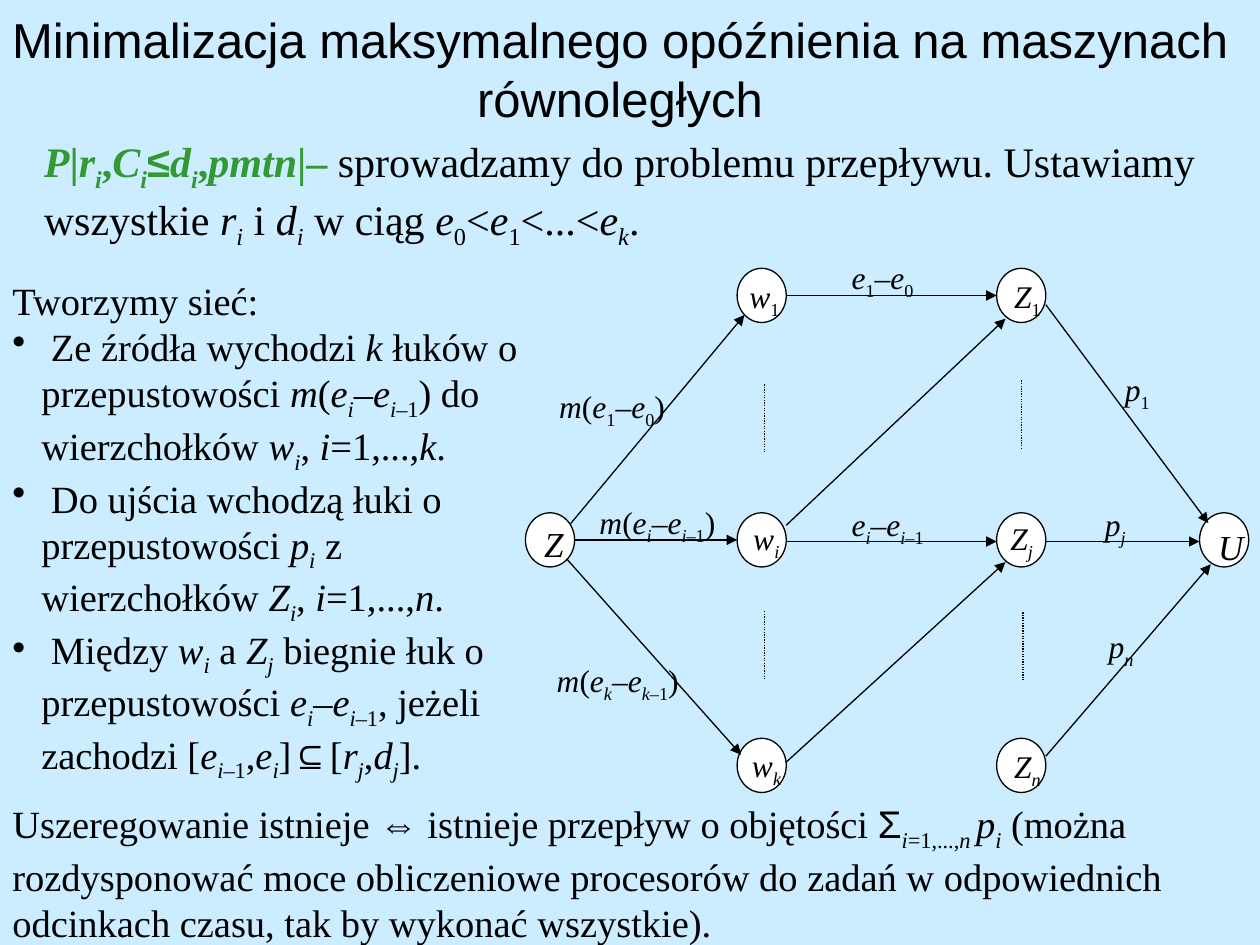
import pptx
import pptx.dml.color
import pptx.enum.dml
import pptx.enum.shapes
import pptx.enum.text
import pptx.oxml
import pptx.oxml.ns
import pptx.util
from lxml import etree

Inches = pptx.util.Inches
RGBColor = pptx.dml.color.RGBColor
ANCHOR = pptx.enum.text.MSO_ANCHOR
ALIGN = pptx.enum.text.PP_ALIGN

BLACK = RGBColor(0x00, 0x00, 0x00)
WHITE = RGBColor(0xFF, 0xFF, 0xFF)
GREEN = RGBColor(0x33, 0x99, 0x33)
SKY = RGBColor(0xCC, 0xEC, 0xFF)
SERIF, SANS = "Times New Roman", "Arial"

# Network grid: left edges of columns, top edges of rows, size of a node
COLUMNS = (4.17, 5.85, 7.91, 9.52)
ROWS = (2.13, 4.07, 5.86)
NODE_WIDTH, NODE_HEIGHT = 0.39, 0.43
BULLET_INDENT = 0.23

# Marks in text: * italic, _ subscript, ^ sans font, # bold green
MARKS = "*_^#"

TITLE = "Minimalizacja maksymalnego opóźnienia na maszynach równoległych"
PROBLEM = ("#*P*|*r_i_*,*C_i_*^≤^*d_i_*,*pmtn*|– #sprowadzamy do problemu przepływu. "
           "Ustawiamy wszystkie *r_i_* i *d_i_* w ciąg *e*_0_<*e*_1_<...<*e_k_*.")
NETWORK = (
    "Tworzymy sieć:",
    " Ze źródła wychodzi *k* łuków o przepustowości *m*(*e_i_*–*e_i*–1_) "
    "do wierzchołków *w_i_*, *i*=1,...,*k*.",
    " Do ujścia wchodzą łuki o przepustowości *p_i_* z wierzchołków *Z_i_*, *i*=1,...,*n*.",
    " Między *w_i_* a *Z_j_* biegnie łuk o przepustowości *e_i_*–*e_i*–1_, "
    "jeżeli zachodzi [*e_i*–1_,*e_i_*]^⊆^[*r_j_*,*d_j_*].",
)
CONCLUSION = ("Uszeregowanie istnieje ^⇔^ istnieje przepływ o objętości ^Σ^_*i*=1,...,*n _p_i_* "
              "(można rozdysponować moce obliczeniowe procesorów do zadań w odpowiednich "
              "odcinkach czasu, tak by wykonać wszystkie).")

# Name: (column, row, label, size, label shift right, label shift down)
NODES = {
    "source": (0, 1, "*Z*", 20, 0.05, 0.03),
    "w1": (1, 0, "*w*_1_", 18, 0, 0.02),
    "wi": (1, 1, "*w_i_*", 18, 0.03, 0),
    "wk": (1, 2, "*w_k_*", 18, 0.02, 0.01),
    "Z1": (2, 0, "*Z*_1_", 18, 0.04, 0.02),
    "Zj": (2, 1, "*Z_j_*", 18, 0.01, 0),
    "Zn": (2, 2, "*Z_n_*", 18, 0.04, 0.02),
    "sink": (3, 1, "*U*", 20, 0.05, 0.05),
}
# Start node, share of its box across and down, then the same for the end node
ARCS = (
    ("source", 1, 0.5, "wi", 0, 0.5),
    ("source", 0.92, 0.2, "w1", 0.15, 0.86),
    ("source", 0.85, 0.86, "wk", 0.08, 0.3),
    ("w1", 1, 0.5, "Z1", 0, 0.5),
    ("wi", 1, 0.53, "Zj", 0, 0.53),
    ("wi", 1, 0.23, "Z1", 0.18, 0.93),
    ("Z1", 1, 0.67, "sink", 0.18, 0.19),
    ("wk", 1, 0.44, "Zj", 0.18, 0.91),
    ("Zj", 1, 0.53, "sink", 0, 0.53),
    ("Zn", 1, 0.33, "sink", 0.23, 0.95),
)
# Left, top, width, text
CAPACITIES = (
    (4.34, 3.02, 1.5, "*m*(*e*_1_–*e*_0_)"),
    (4.66, 3.94, 1.34, "*m*(*e_i_*–*e_i*–1_)"),
    (4.32, 5.2, 1.51, "*m*(*e_k_*–*e_k*–1_)"),
    (6.66, 2, 0.99, "*e*_1_–*e*_0_"),
    (6.66, 3.96, 0.99, "*e_i_*–*e_i*–1_"),
    (8.83, 2.89, 0.77, "*p*_1_"),
    (8.67, 3.96, 0.77, "*p_j_*"),
    (8.7, 4.93, 0.77, "*p_n_*"),
)
# Left and top of the dotted gaps between nodes
GAPS = ((6.07, 3.05), (8.11, 3.02), (6.07, 4.85), (8.12, 4.86))
GAP_LENGTH = 0.54


def split_marks(text):
    """Yield each stretch of text with the marks that are on for it."""
    active, stretch = set(), ""
    for letter in text:
        if letter not in MARKS:
            stretch += letter
            continue
        if stretch:
            yield stretch, frozenset(active)
            stretch = ""
        active ^= {letter}
    if stretch:
        yield stretch, frozenset(active)


def add_spans(para, text, size, font):
    for stretch, marks in split_marks(text):
        span = para.add_run()
        span.text = stretch
        formats = {
            "name": SANS if "^" in marks else font,
            "size": pptx.util.Pt(size),
            "italic": "*" in marks,
            "bold": "#" in marks,
        }
        for name, value in formats.items():
            setattr(span.font, name, value)
        span.font.color.rgb = GREEN if "#" in marks else BLACK
        if "_" in marks:
            span.font._element.set("baseline", "-25000")


def add_bullet(para):
    properties = para._p.get_or_add_pPr()
    indent = Inches(BULLET_INDENT)
    properties.set("marL", str(indent))
    properties.set("indent", str(-indent))
    bullet = etree.SubElement(properties, pptx.oxml.ns.qn("a:buChar"))
    bullet.set("char", "•")


def add_text(page, place, texts, size, font=SERIF, align=ALIGN.LEFT, anchor=ANCHOR.TOP):
    """Add a text box; every paragraph after the first is a bullet."""
    box = page.shapes.add_textbox(*map(Inches, place))
    frame = box.text_frame
    for name, value in {"word_wrap": True, "vertical_anchor": anchor}.items():
        setattr(frame, name, value)
    for index, text in enumerate(texts):
        para = frame.add_paragraph() if index else frame.paragraphs[0]
        para.alignment = align
        if index:
            add_bullet(para)
        add_spans(para, text, size, font)


def add_line(page, start, end, arrow=False):
    line = page.shapes.add_connector(
        pptx.enum.shapes.MSO_CONNECTOR.STRAIGHT, *map(Inches, start + end))
    line.line.color.rgb = BLACK
    line.line.width = pptx.util.Pt(0.75)
    if arrow:
        head = etree.SubElement(line.line._get_or_add_ln(), pptx.oxml.ns.qn("a:tailEnd"))
        head.set("type", "triangle")
    else:
        line.line.dash_style = pptx.enum.dml.MSO_LINE.ROUND_DOT
    etree.SubElement(line._element.spPr, pptx.oxml.ns.qn("a:effectLst"))


def node_point(name, across, down):
    column, row = NODES[name][:2]
    return COLUMNS[column] + across * NODE_WIDTH, ROWS[row] + down * NODE_HEIGHT


def add_node(page, name):
    place = node_point(name, 0, 0) + (NODE_WIDTH, NODE_HEIGHT)
    node = page.shapes.add_shape(pptx.enum.shapes.MSO_SHAPE.OVAL, *map(Inches, place))
    node.shadow.inherit = False
    node.fill.solid()
    node.fill.fore_color.rgb = WHITE
    node.line.color.rgb = BLACK
    node.line.width = pptx.util.Pt(0.75)


def add_network(page):
    for name in NODES:
        add_node(page, name)
    for start, start_across, start_down, end, end_across, end_down in ARCS:
        add_line(page, node_point(start, start_across, start_down),
                 node_point(end, end_across, end_down), arrow=True)
    for left, top in GAPS:
        add_line(page, (left, top), (left, top + GAP_LENGTH))
    for name, (column, row, label, size, right, down) in NODES.items():
        place = (COLUMNS[column] + right, ROWS[row] + down, 0.5, 0.45)
        add_text(page, place, [label], size)
    for left, top, width, label in CAPACITIES:
        add_text(page, (left, top, width, 0.45), [label], 18)


def main():
    deck = pptx.Presentation()
    deck.slide_width, deck.slide_height = Inches(10), Inches(7.5)
    page = deck.slides.add_slide(deck.slide_layouts[6])
    page.background.fill.solid()
    page.background.fill.fore_color.rgb = SKY

    # Heading and problem statement
    add_text(page, (-0.08, -0.08, 10, 1.25), [TITLE], 28, SANS, ALIGN.CENTER, ANCHOR.MIDDLE)
    add_text(page, (0.25, 1.03, 9.75, 1.01), [PROBLEM], 24)

    # Flow network with its description
    add_network(page)
    add_text(page, (0, 2.15, 4.25, 4.12), NETWORK, 22)

    # Conclusion
    add_text(page, (0, 6.3, 10, 1.25), [CONCLUSION], 22)
    deck.save("out.pptx")


if __name__ == "__main__":
    main()
